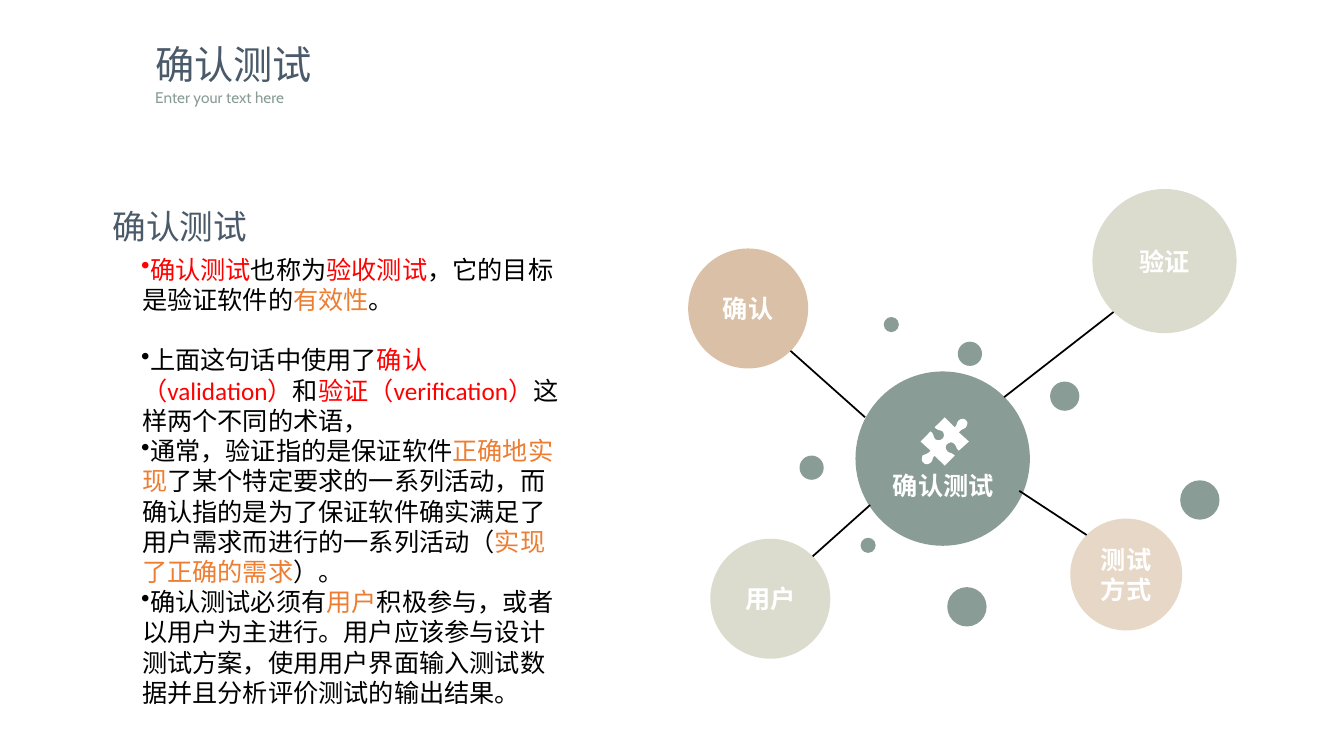
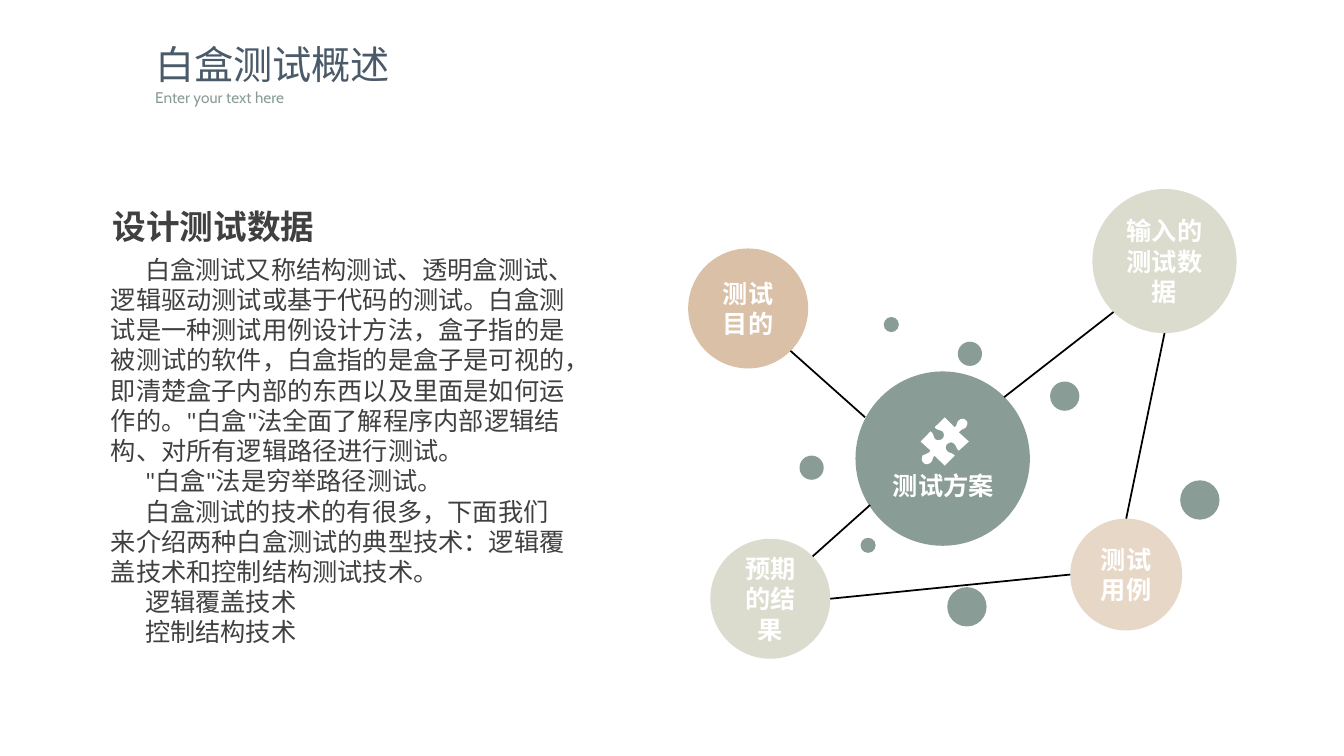
from pptx import Presentation, util as u
from pptx.dml.color import RGBColor
from pptx.enum import shapes, text
from pptx.oxml.ns import qn
from lxml import etree

SLATE = RGBColor(0x4A, 0x5A, 0x69)
SAGE = RGBColor(0x8A, 0x9C, 0x96)
STONE = RGBColor(0xDB, 0xDC, 0xCE)
CREAM = RGBColor(0xE7, 0xD7, 0xC7)
TAN = RGBColor(0xDA, 0xC0, 0xA7)
RED = RGBColor(0xFF, 0x00, 0x00)
ORANGE = RGBColor(0xED, 0x7D, 0x31)
BLACK = RGBColor(0x00, 0x00, 0x00)
GRAY = RGBColor(0x40, 0x40, 0x40)
WHITE = RGBColor(0xFF, 0xFF, 0xFF)

CJK, LATIN, SUBTITLE = "Noto Sans CJK SC", "Calibri", "Cabin"
BODY_SIZE, LINE = 18, 21.6
DIAGONAL = 0.5 ** 0.5

HUB = (9.35, 4.55, 1.73)
NODES = {
    "top right": (11.55, 2.59, 1.43, STONE),
    "bottom right": (11.17, 5.7, 1.11, CREAM),
    "top left": (7.42, 3.06, 1.19, TAN),
    "bottom left": (7.64, 5.94, 1.19, STONE),
}
DOTS = [
    (9.59, 6.02, 0.39), (10.56, 3.93, 0.29), (8.84, 3.22, 0.15),
    (8.05, 4.64, 0.24), (11.9, 4.96, 0.39), (9.62, 3.51, 0.24),
    (8.61, 5.41, 0.15),
]
SPOKES = {
    "top left": (1, 1, 8.58, 4.14),
    "bottom left": (1, -1, 8.63, 5.01),
    "top right": (-1, 1, 9.96, 3.94),
    "bottom right": (-1, -1, 10.11, 4.87),
}
PUZZLE = [
    (9.58, 4.17), (9.6, 4.18, 9.6, 4.21, 9.58, 4.24),
    (9.56, 4.26, 9.54, 4.25, 9.51, 4.29), (9.61, 4.38), (9.51, 4.47),
    (9.48, 4.45, 9.49, 4.42, 9.46, 4.4), (9.44, 4.38, 9.41, 4.39, 9.39, 4.41),
    (9.38, 4.42, 9.37, 4.45, 9.4, 4.48), (9.43, 4.5, 9.44, 4.49, 9.47, 4.52),
    (9.37, 4.62), (9.27, 4.52), (9.24, 4.55, 9.26, 4.56, 9.23, 4.59),
    (9.21, 4.61, 9.17, 4.61, 9.16, 4.59), (9.14, 4.58, 9.14, 4.55, 9.15, 4.52),
    (9.18, 4.5, 9.2, 4.51, 9.23, 4.47), (9.13, 4.38), (9.23, 4.28),
    (9.27, 4.31, 9.25, 4.33, 9.28, 4.36), (9.3, 4.37, 9.33, 4.37, 9.35, 4.35),
    (9.36, 4.34, 9.37, 4.31, 9.35, 4.28), (9.31, 4.26, 9.3, 4.27, 9.27, 4.24),
    (9.37, 4.14), (9.47, 4.24), (9.5, 4.21, 9.48, 4.2, 9.51, 4.17),
    (9.53, 4.15, 9.57, 4.15, 9.58, 4.17),
]

SLIDES = [
    {
        "title": "确认测试",
        "heading": ("确认测试", CJK, SLATE, False),
        "hub": "确认测试",
        "labels": {"top right": "验证", "bottom right": "测试方式",
                   "top left": "确认", "bottom left": "用户"},
        "spokes": ["top left", "bottom left", "top right", "bottom right"],
        "rim links": [],
        "bullets": True,
        "gap after": 0,
        "body height": 5,
        "body": [
            [("确认测试", RED), ("也称为", BLACK), ("验收测试", RED),
             ("，它的目标是验证软件的", BLACK), ("有效性", ORANGE), ("。", BLACK)],
            [("上面这句话中使用了", BLACK), ("确认（validation）", RED), ("和", BLACK),
             ("验证（verification）", RED), ("这样两个不同的术语，", BLACK)],
            [("通常，验证指的是保证软件", BLACK), ("正确地实现", ORANGE),
             ("了某个特定要求的一系列活动，而确认指的是为了保证软件确实满足了用户需求而进行的一系列活动（", BLACK),
             ("实现了正确的需求", ORANGE), ("）。", BLACK)],
            [("确认测试必须有", BLACK), ("用户", ORANGE),
             ("积极参与，或者以用户为主进行。用户应该参与设计测试方案，使用用户界面输入测试数据并且分析评价测试的输出结果。", BLACK)],
        ],
    },
    {
        "title": "白盒测试概述",
        "heading": ("设计测试数据", LATIN, GRAY, True),
        "hub": "测试方案",
        "labels": {"top right": "输入的测试数据", "bottom right": "测试用例",
                   "top left": "测试目的", "bottom left": "预期的结果"},
        "spokes": ["top left", "bottom left", "top right"],
        "rim links": [("top right", 0, 1, "bottom right", 0, -1),
                      ("bottom left", 1, 0, "bottom right", -1, 0)],
        "bullets": False,
        "gap after": None,
        "body height": 4.27,
        "body": [
            [("白盒测试又称结构测试、透明盒测试、逻辑驱动测试或基于代码的测试。白盒测试是一种测试用例设计方法，盒子指的是被测试的软件，白盒指的是盒子是可视的，即清楚盒子内部的东西以及里面是如何运作的。\"白盒\"法全面了解程序内部逻辑结构、对所有逻辑路径进行测试。", GRAY)],
            [("\"白盒\"法是穷举路径测试。", GRAY)],
            [("白盒测试的技术的有很多，下面我们来介绍两种白盒测试的典型技术：逻辑覆盖技术和控制结构测试技术。", GRAY)],
            [("逻辑覆盖技术", GRAY)],
            [("控制结构技术", GRAY)],
        ],
    },
]


def style(r, size, font, color, bold=False):
    r.font.size, r.font.name, r.font.bold = u.Pt(size), font, bold
    r.font.color.rgb = color


def text_box(s, left, top, width, height, wrap=True):
    tf = s.shapes.add_textbox(*map(u.Inches, (left, top, width, height))).text_frame
    tf.word_wrap = wrap
    tf.auto_size = text.MSO_AUTO_SIZE.SHAPE_TO_FIT_TEXT
    return tf


def label(tf, words, size, font, color, bold=False, align=None):
    tf.text = words
    p = tf.paragraphs[0]
    p.alignment = align
    style(p.runs[0], size, font, color, bold)


def plain(sp, color):
    sp.shadow.inherit = False
    sp.fill.solid()
    sp.fill.fore_color.rgb = color
    sp.line.fill.background()


def circle(s, x, y, size, color):
    box = map(u.Inches, (x - size / 2, y - size / 2, size, size))
    sp = s.shapes.add_shape(shapes.MSO_SHAPE.OVAL, *box)
    plain(sp, color)
    return sp


def rim(name, dx, dy):
    x, y, size, _ = NODES[name]
    reach = size / 2 * (DIAGONAL if dx and dy else 1)
    return x + dx * reach, y + dy * reach


def line(s, start, end):
    c = s.shapes.add_connector(shapes.MSO_CONNECTOR.STRAIGHT, *map(u.Inches, (*start, *end)))
    c.line.color.rgb, c.line.width = BLACK, u.Pt(1.25)
    etree.SubElement(c._element.spPr, qn("a:effectLst"))


def curve_points(segments, steps=6):
    points = [segments[0]]
    for seg in segments[1:]:
        if len(seg) == 2:
            points.append(seg)
            continue
        start = points[-1]
        for i in range(1, steps + 1):
            t = i / steps
            points.append(tuple(
                (1 - t) ** 3 * start[k] + 3 * (1 - t) ** 2 * t * seg[k]
                + 3 * (1 - t) * t ** 2 * seg[k + 2] + t ** 3 * seg[k + 4]
                for k in (0, 1)))
    return [(u.Inches(x), u.Inches(y)) for x, y in points]


def puzzle(s):
    first, *rest = curve_points(PUZZLE)
    outline = s.shapes.build_freeform(*first)
    outline.add_line_segments(rest, close=True)
    plain(outline.convert_to_shape(), WHITE)


def body(s, content):
    tf = text_box(s, 1.02, 2.47, 4.7, content["body height"])
    tf.margin_left = tf.margin_right = u.Inches(0.08)
    for i, parts in enumerate(content["body"]):
        p = tf.paragraphs[0] if i == 0 else tf.add_paragraph()
        pPr = p._p.get_or_add_pPr()
        if i == content["gap after"]:
            p.space_after = u.Pt(LINE)
        margin, indent = (0.31, -0.01) if content["bullets"] else (0, 0.34)
        pPr.set("marL", str(u.Inches(margin)))
        pPr.set("indent", str(u.Inches(indent)))
        if content["bullets"]:
            etree.SubElement(pPr, qn("a:buChar")).set("char", "•")
        for words, color in parts:
            r = p.add_run()
            r.text = words
            style(r, BODY_SIZE, LATIN, color)


def diagram(s, content):
    circle(s, *HUB, SAGE)
    for name, node in NODES.items():
        tf = circle(s, *node).text_frame
        tf.word_wrap = True
        tf.vertical_anchor = text.MSO_ANCHOR.MIDDLE
        label(tf, content["labels"][name], 18, LATIN, WHITE, True, text.PP_ALIGN.CENTER)
    for name in content["spokes"]:
        dx, dy, x, y = SPOKES[name]
        line(s, rim(name, dx, dy), (x, y))
    for a, ax, ay, b, bx, by in content["rim links"]:
        line(s, rim(a, ax, ay), rim(b, bx, by))
    for dot in DOTS:
        circle(s, *dot, SAGE)
    label(text_box(s, 8.5, 4.62, 1.71, 0.4), content["hub"], 18, LATIN, WHITE, True,
          text.PP_ALIGN.CENTER)
    puzzle(s)


def main():
    prs = Presentation()
    prs.slide_width, prs.slide_height = u.Inches(13.33), u.Inches(7.5)
    for content in SLIDES:
        s = prs.slides.add_slide(prs.slide_layouts[6])
        title = content["title"]
        label(text_box(s, 1.44, 0.35, 0.2 + 0.39 * len(title), 0.57, False),
              title, 28, CJK, SLATE)
        label(text_box(s, 1.44, 0.82, 3.55, 0.29), "Enter your text here", 11,
              SUBTITLE, SAGE, align=text.PP_ALIGN.JUSTIFY)
        diagram(s, content)
        body(s, content)
        words, font, color, bold = content["heading"]
        label(text_box(s, 1.02, 1.99, 4.7, 0.5), words, 24, font, color, bold)
    prs.save("out.pptx")


if __name__ == "__main__":
    main()
